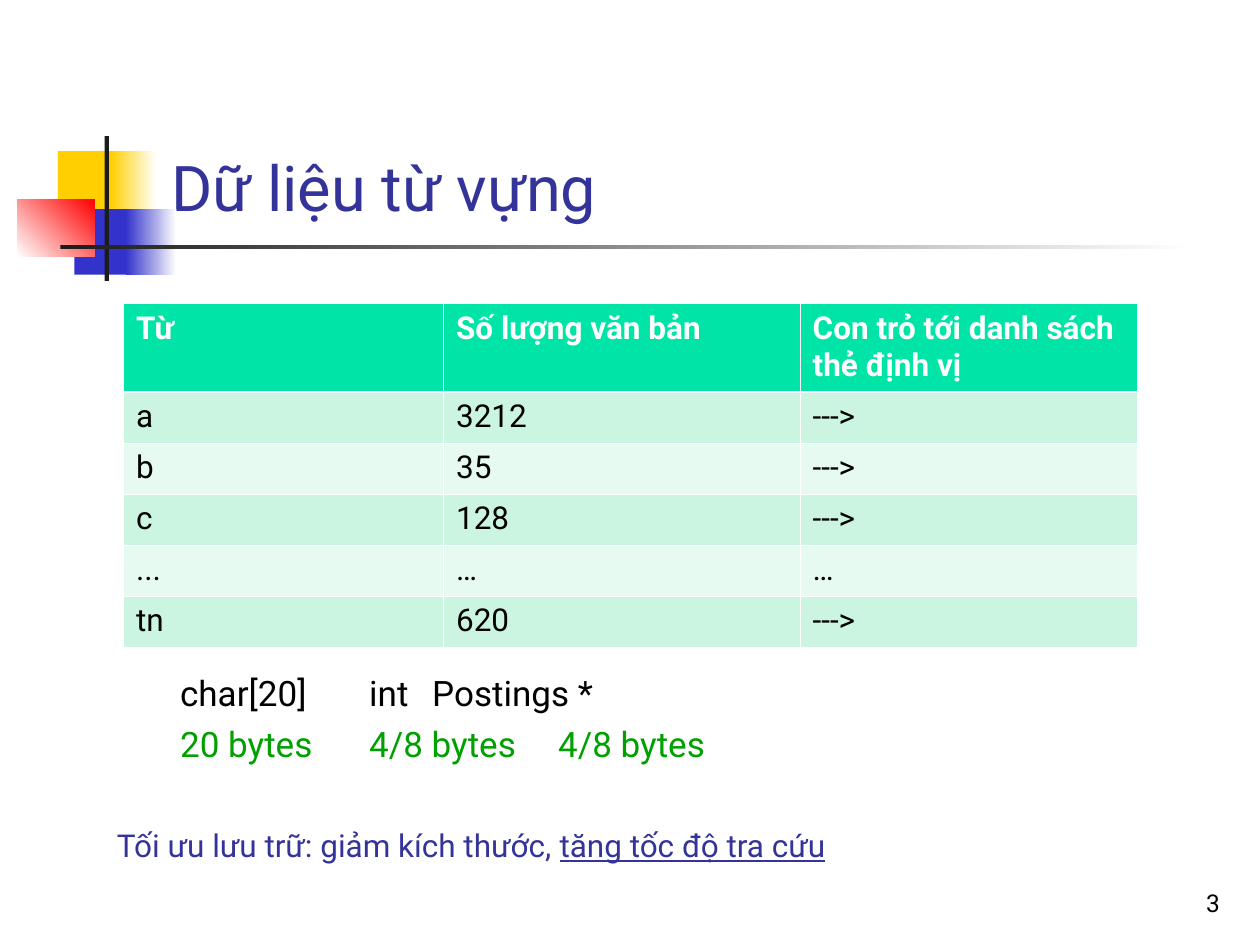
"""Build the vocabulary data slide: a dictionary table with its storage types and sizes."""
from lxml import etree
from pptx import Presentation
from pptx.dml.color import RGBColor
from pptx.enum.shapes import MSO_SHAPE
from pptx.enum.text import MSO_ANCHOR, MSO_AUTO_SIZE, PP_ALIGN
from pptx.oxml.ns import qn
from pptx.util import Inches, Pt

RECTANGLE = MSO_SHAPE.RECTANGLE
BOTTOM = MSO_ANCHOR.BOTTOM
NO_AUTOFIT = MSO_AUTO_SIZE.NONE
LEFT, RIGHT = PP_ALIGN.LEFT, PP_ALIGN.RIGHT
FONT = "Roboto"
COLORS = {
    "white": "FFFFFF", "black": "000000", "yellow": "FFCF01", "blue": "3333CC",
    "red": "FF0000", "charcoal": "1C1C1C", "navy": "333399", "green": "00A000",
    "header": "00E4A8", "odd": "CBF5E1", "even": "E7FAF1",
}
RGB = {name: RGBColor.from_string(value) for name, value in COLORS.items()}

presentation = Presentation()
presentation.slide_width, presentation.slide_height = Inches(10), Inches(7.5)
COLUMN = presentation.slide_width / 100
ROW = presentation.slide_height / 75
slide = presentation.slides.add_slide(presentation.slide_layouts[1])
title, body = slide.placeholders


def area(left, top, width, height):
    return [round(length) for length in (left * COLUMN, top * ROW, width * COLUMN, height * ROW)]


def style(paragraph, size, color, bold=False, alignment=LEFT):
    paragraph.alignment = alignment
    paragraph.font.name = FONT
    paragraph.font.size = Pt(size)
    paragraph.font.bold = bold
    paragraph.font.color.rgb = RGB[color]


ornaments = [
    ((4.6, 12, 4.8, 5.2), ["yellow"], 0),
    ((8.8, 12, 3.6, 5.2), ["yellow", "white"], 0),
    ((5.9, 16.6, 4.6, 5.2), ["blue"], 0),
    ((10, 16.6, 4, 5.2), ["blue", "white"], 0),
    ((1.4, 15.8, 6.1, 4.6), ["white", "red"], 45),
    ((8.3, 10.8, 0.35, 11.5), ["charcoal"], 0),
    ((4.8, 19.45, 90, 0.35), ["charcoal", "white"], 0),
]
for position, shades, angle in ornaments:
    shape = slide.shapes.add_shape(RECTANGLE, *area(*position))
    shape.shadow.inherit = False
    shape.line.fill.background()
    if len(shades) == 1:
        shape.fill.solid()
        shape.fill.fore_color.rgb = RGB[shades[0]]
    else:
        shape.fill.gradient()
        shape.fill.gradient_angle = angle
        for stop, shade in zip(shape.fill.gradient_stops, shades):
            stop.color.rgb = RGB[shade]

title.left, title.top, title.width, title.height = area(12.6, 2.3, 85.2, 16)
title.text_frame.text = "Dữ liệu từ vựng"
title.text_frame.vertical_anchor = BOTTOM
title.text_frame.auto_size = NO_AUTOFIT
style(title.text_frame.paragraphs[0], 36, "navy")

body.left, body.top, body.width, body.height = area(8.3, 21.1, 88.1, 41.5)
body.text_frame.vertical_anchor = BOTTOM
body.text_frame.auto_size = NO_AUTOFIT
body.text_frame.margin_bottom = round(1.9 * ROW)
storage = [
    (["char[20]", "int", "Postings *"], [9.9, 39.9, 56.2], "black"),
    (["20 bytes", "4/8 bytes", "4/8 bytes"], [2.7, 30, 47.1], "green"),
]
body.text_frame.text = "\n".join("\t" + "\t".join(words) for words, _, _ in storage)
for paragraph, (_, stops, color) in zip(body.text_frame.paragraphs, storage):
    properties = paragraph._p.get_or_add_pPr()
    properties.set("marL", "0")
    properties.set("indent", "0")
    etree.SubElement(properties, qn("a:buNone"))
    tab_list = etree.SubElement(properties, qn("a:tabLst"))
    for stop in stops:
        etree.SubElement(tab_list, qn("a:tab"), pos=str(round(stop * COLUMN)), algn="l")
    paragraph.space_before = Pt(5)
    style(paragraph, 20, color)

entries = [
    ["Từ", "Số lượng văn bản", "Con trỏ tới danh sách thẻ định vị"],
    ["a", "3212", "--->"],
    ["b", "35", "--->"],
    ["c", "128", "--->"],
    ["...", "…", "…"],
    ["tn", "620", "--->"],
]
table = slide.shapes.add_table(len(entries), 3, *area(9.8, 24.1, 80.5, 27.3)).table
for column, width in zip(table.columns, (25.4, 28.3, 26.8)):
    column.width = round(width * COLUMN)
for index, values in enumerate(entries):
    table.rows[index].height = round((4.06 if index else 7) * ROW)
    band = ("even" if index % 2 == 0 else "odd") if index else "header"
    edges = {"lnL": 0.45, "lnR": 0.45,
             "lnT": 1.47 if index == 1 else 0.45, "lnB": 0.45 if index else 1.47}
    for cell, value in zip(table.rows[index].cells, values):
        cell.text = value
        style(cell.text_frame.paragraphs[0], 18, "black" if index else "white", bold=index == 0)
        cell_properties = cell._tc.get_or_add_tcPr()
        for edge, width in edges.items():
            line = etree.SubElement(cell_properties, qn(f"a:{edge}"), w=str(Pt(width)))
            fill = etree.SubElement(line, qn("a:solidFill"))
            etree.SubElement(fill, qn("a:srgbClr"), val=COLORS["white"])
        cell.fill.solid()
        cell.fill.fore_color.rgb = RGB[band]

page_number = slide.shapes.add_textbox(*area(77, 68.3, 20.8, 5)).text_frame
page_number.word_wrap = True
page_number.vertical_anchor = BOTTOM
page_number.text = "3"
style(page_number.paragraphs[0], 14, "black", alignment=RIGHT)

conclusion = slide.shapes.add_textbox(*area(8.3, 65.1, 88.2, 4)).text_frame
conclusion.word_wrap = True
conclusion.text = "Tối ưu lưu trữ: giảm kích thước, "
emphasis = conclusion.paragraphs[0].add_run()
emphasis.text = "tăng tốc độ tra cứu"
emphasis.font.underline = True
style(conclusion.paragraphs[0], 18, "navy")

presentation.save("out.pptx")
